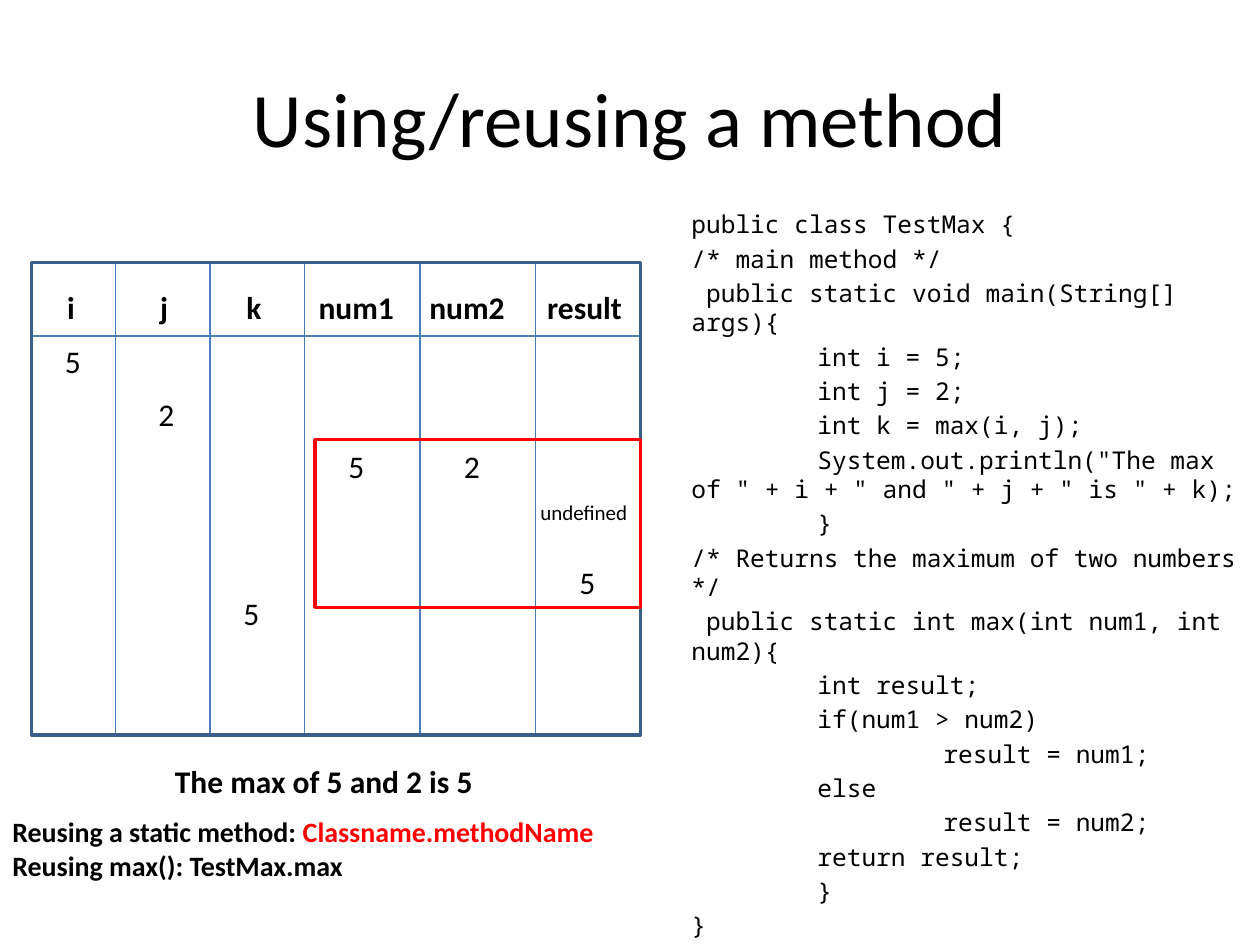
from lxml import etree
from pptx import Presentation
from pptx.dml.color import RGBColor
from pptx.enum import shapes, text
from pptx.oxml.ns import qn
from pptx.util import Pt


def color(value):
    return RGBColor.from_string(value)


def add_text(x, y, w, h, lines, size, bold=False, font="Calibri", wrap=False):
    sp = s.shapes.add_textbox(Pt(x), Pt(y), Pt(w), Pt(h))
    tf = sp.text_frame
    tf.word_wrap = wrap
    tf.text = "\n".join(lines)
    for p in tf.paragraphs:
        for r in p.runs:
            r.font.size, r.font.bold, r.font.name = Pt(size), bold, font
            r.font.color.rgb = color("000000")
    return tf


prs = Presentation()
prs.slide_width, prs.slide_height = Pt(720), Pt(540)
s = prs.slides.add_slide(prs.slide_layouts[5])

# Title
title = s.shapes.title
title.left, title.top, title.width, title.height = Pt(36), Pt(21.6), Pt(648), Pt(90)
tf = title.text_frame
tf.text = "Using/reusing a method"
tf.vertical_anchor = text.MSO_ANCHOR.MIDDLE
p = tf.paragraphs[0]
p.alignment = text.PP_ALIGN.CENTER
font = p.runs[0].font
font.size, font.name = Pt(44), "Calibri"
font.color.rgb = color("000000")

# Code listing
code = """public class TestMax {
/* main method */
 public static void main(String[] args){
\tint i = 5;
\tint j = 2;
\tint k = max(i, j);
\tSystem.out.println("The max of " + i + " and " + j + " is " + k);
\t}
/* Returns the maximum of two numbers */
 public static int max(int num1, int num2){
\tint result;
\tif(num1 > num2)
\t\tresult = num1;
\telse
\t\tresult = num2;
\treturn result;
\t}
}"""
tf = add_text(379, 116, 342, 404.6, code.split("\n"), 14,
              font="Noto Sans Mono", wrap=True)
for i, p in enumerate(tf.paragraphs):
    p.space_before = Pt(2.8 if i else 0)
    pPr = p._p.get_or_add_pPr()
    pPr.set("marL", str(Pt(9)))
    pPr.set("indent", "0")
    pPr.set("defTabSz", str(Pt(72)))

# Trace grid: header rule, column rules and frame
left, top, right, bottom = 18, 150, 366, 420
rules = [(left, 192, right, 192)]
rules += [(x, top, x, bottom) for x in (66, 120, 174, 240, 306)]
for ends in rules:
    line = s.shapes.add_connector(shapes.MSO_CONNECTOR.STRAIGHT, *map(Pt, ends))
    line.line.color.rgb = color("4B7EBC")
    line.line.width = Pt(0.75)
    etree.SubElement(line._element.spPr, qn("a:effectLst"))

# Grid frame and the box around the call of max
for x, y, w, h, stroke in [(left, top, right - left, bottom - top, "3A5F8C"),
                           (180, 251.3, 186, 95.8, "FF0000")]:
    sp = s.shapes.add_shape(shapes.MSO_SHAPE.RECTANGLE, Pt(x), Pt(y), Pt(w), Pt(h))
    sp.shadow.inherit = False
    sp.fill.background()
    sp.line.color.rgb = color(stroke)
    sp.line.width = Pt(2)

# Column headings
for name, x in [("i", 31.3), ("j", 84.5), ("k", 133.8), ("num1", 175),
                ("num2", 238.3), ("result", 305.6)]:
    add_text(x, 160.8, 58, 28.8, [name], 18, bold=True)

# Variable values in the order they are assigned
for value, x, y, size in [("5", 30, 192, 18), ("2", 83.5, 222, 18),
                          ("5", 192, 252, 18), ("2", 258, 252, 18),
                          ("undefined", 301.7, 282, 12),
                          ("5", 324, 318, 18), ("5", 132, 336, 18)]:
    add_text(x, y, 64.8 if size == 12 else 24.5, size * 1.6, [value], size)

# Output and reuse notes
add_text(92.9, 432, 213, 28.8, ["The max of 5 and 2 is 5"], 18, bold=True)
tf = add_text(0, 462, 350.6, 46, ["Reusing a static method: ",
                                  "Reusing max(): TestMax.max"], 16, bold=True)
r = tf.paragraphs[0].add_run()
r.text = "Classname.methodName"
r.font.size, r.font.bold, r.font.name = Pt(16), True, "Calibri"
r.font.color.rgb = color("FF0000")

prs.save("out.pptx")
